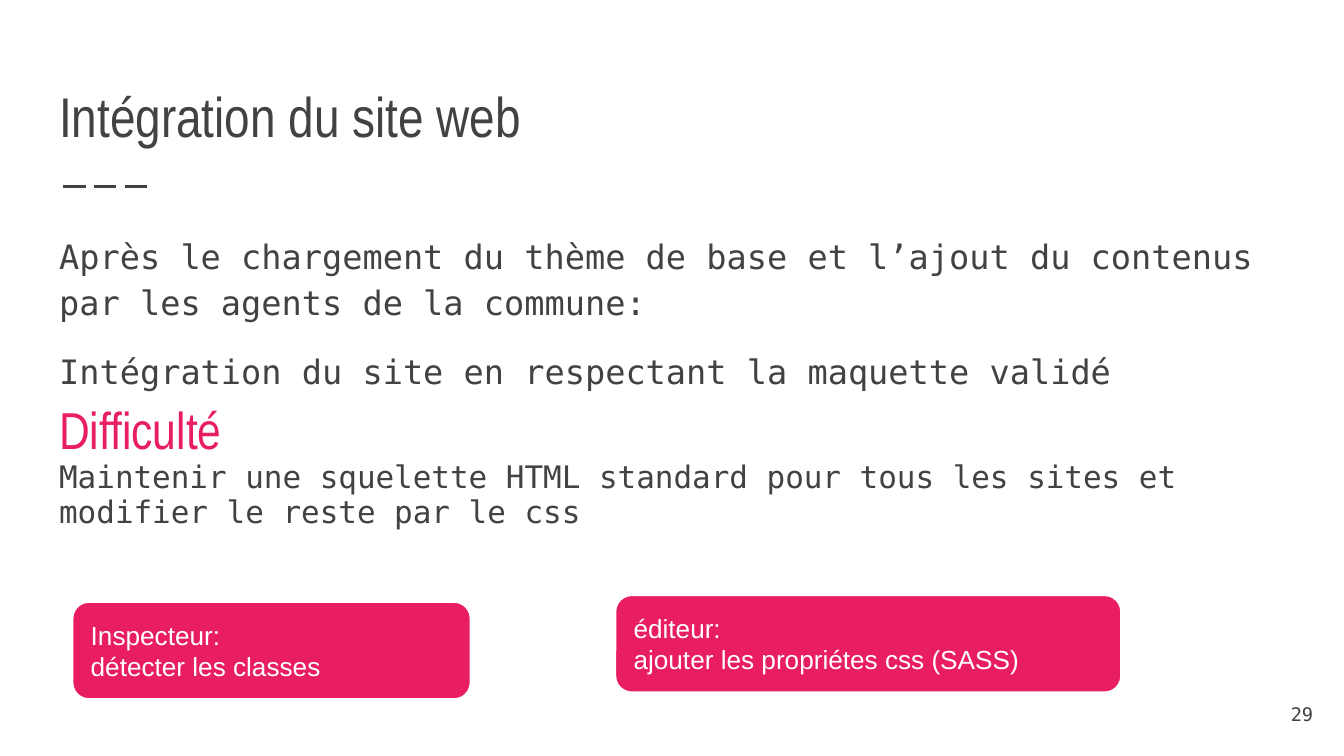
from lxml.etree import SubElement
from pptx import Presentation
from pptx.dml.color import RGBColor
from pptx.enum.dml import MSO_LINE
from pptx.enum.shapes import MSO_CONNECTOR, MSO_SHAPE
from pptx.enum.text import MSO_ANCHOR as Anchor, MSO_AUTO_SIZE, PP_ALIGN as Align
from pptx.oxml.ns import qn
from pptx.util import Pt

GREY = RGBColor(0x42, 0x42, 0x42)
PINK = RGBColor(0xE9, 0x1D, 0x63)
WHITE = RGBColor(0xFF, 0xFF, 0xFF)
HEADING, MONO, SANS = "Arial Narrow", "DejaVu Sans Mono", "Arial"
LEFT, WIDTH = 24.5, 671
INSET = 7.2


class SlideBuilder:
    def __init__(self, slide):
        self.slide = slide

    def place(self, shape, left, top, width, height):
        shape.left, shape.top = Pt(left), Pt(top)
        shape.width, shape.height = Pt(width), Pt(height)

    def frame(self, shape, anchor):
        text = shape.text_frame
        text.word_wrap = True
        text.auto_size = MSO_AUTO_SIZE.NONE
        text.vertical_anchor = anchor
        text.margin_left = text.margin_right = Pt(INSET)
        text.margin_top = text.margin_bottom = Pt(INSET)
        return text

    def fill_text(self, text, lines, align=Align.LEFT):
        """Fill the frame from (words, font, size, colour, spacing, before, after)."""
        for number, (words, font, size, colour, spacing, before, after) in enumerate(lines):
            paragraph = text.add_paragraph() if number else text.paragraphs[0]
            paragraph.text = words
            properties = paragraph._p.get_or_add_pPr()
            properties.set("marL", "0")
            properties.set("indent", "0")
            SubElement(properties, qn("a:buNone"))
            paragraph.alignment = align
            paragraph.line_spacing = spacing
            paragraph.space_before, paragraph.space_after = Pt(before), Pt(after)
            paragraph.font.name, paragraph.font.size = font, Pt(size)
            paragraph.font.color.rgb = colour

    def placeholder(self, index, top, height, lines, anchor=Anchor.TOP):
        holder = self.slide.placeholders[index]
        self.place(holder, LEFT, top, WIDTH, height)
        self.fill_text(self.frame(holder, anchor), lines)

    def page_number(self, number):
        box = self.slide.shapes.add_textbox(Pt(667.4), Pt(367.2), Pt(43.2), Pt(31))
        self.fill_text(self.frame(box, Anchor.MIDDLE),
                       [(number, MONO, 10, GREY, 1.0, 0, 0)], Align.RIGHT)

    def dashes(self, left, right, y):
        rule = self.slide.shapes.add_connector(
            MSO_CONNECTOR.STRAIGHT, Pt(left), Pt(y), Pt(right), Pt(y))
        rule.line.color.rgb = GREY
        rule.line.width = Pt(1.5)
        rule.line.dash_style = MSO_LINE.LONG_DASH
        SubElement(rule._element.spPr, qn("a:effectLst"))

    def tool_card(self, left, top, width, lines):
        card = self.slide.shapes.add_shape(
            MSO_SHAPE.ROUNDED_RECTANGLE, Pt(left), Pt(top), Pt(width), Pt(51.8))
        card.shadow.inherit = False
        card.fill.solid()
        card.fill.fore_color.rgb = PINK
        card.line.color.rgb = WHITE
        card.line.width = Pt(0.75)
        self.fill_text(self.frame(card, Anchor.MIDDLE),
                       [(words, SANS, 14, WHITE, 1.0, 0, 0) for words in lines])


def main():
    deck = Presentation()
    deck.slide_width, deck.slide_height = Pt(720), Pt(405)
    two_content = deck.slide_layouts[3]
    builder = SlideBuilder(deck.slides.add_slide(two_content))

    builder.dashes(33.8, 82.1, 100)
    builder.placeholder(0, 29.5, 57.6, [
        ("Intégration du site web", HEADING, 30, GREY, 1.0, 0, 0),
    ], Anchor.BOTTOM)
    builder.placeholder(1, 116, 244, [
        ("Après le chargement du thème de base et l’ajout du contenus "
         "par les agents de la commune:", MONO, 18, GREY, 1.15, 0, 0),
        ("Intégration du site en respectant la maquette validé",
         MONO, 18, GREY, 1.15, 12, 12),
    ])
    builder.placeholder(2, 212.4, 99.4, [
        ("Difficulté", HEADING, 27.8, PINK, 0.8, 0, 0),
        ("Maintenir une squelette HTML standard pour tous les sites et "
         "modifier le reste par le css", MONO, 16.6, GREY, 0.95, 0, 12),
    ])
    builder.page_number("29")
    builder.tool_card(39, 322.6, 213, ["Inspecteur:", "détecter les classes"])
    builder.tool_card(329.8, 319, 270.7,
                      ["éditeur:", "ajouter les propriétes css (SASS)"])
    deck.save("out.pptx")


if __name__ == "__main__":
    main()
